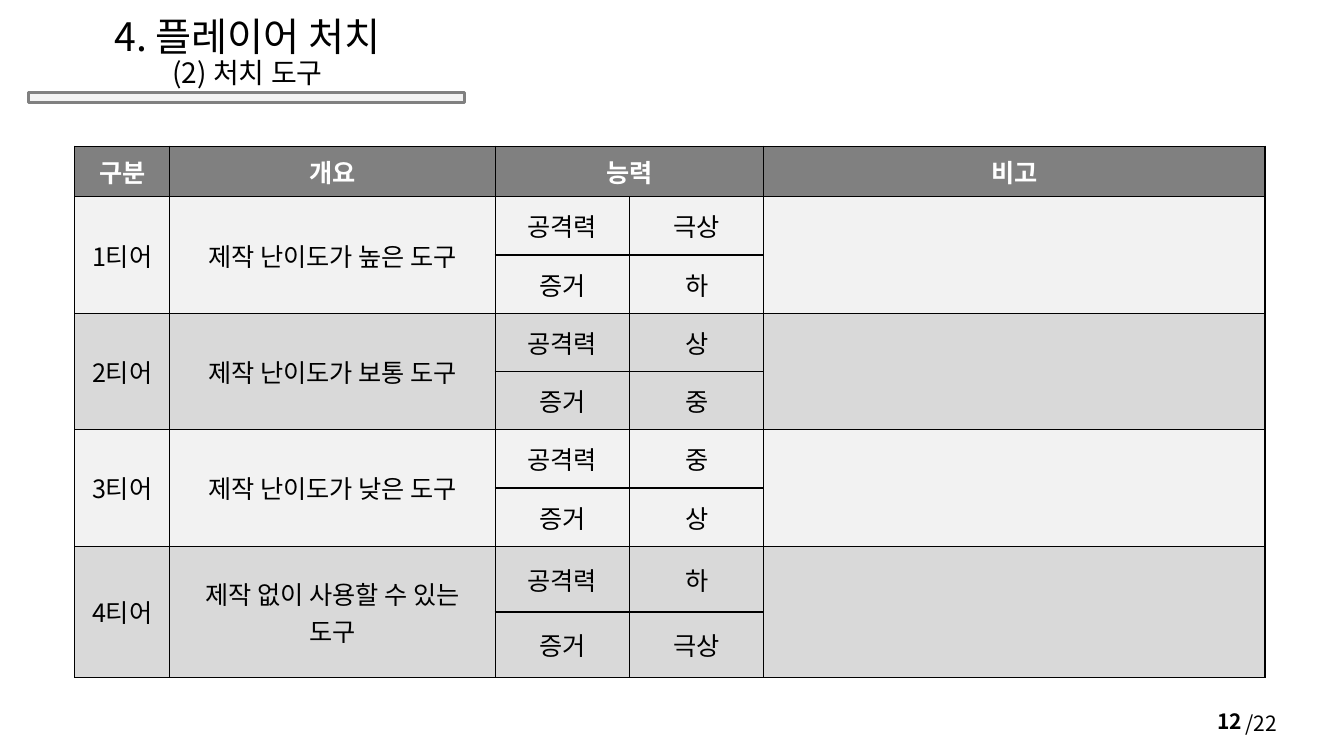
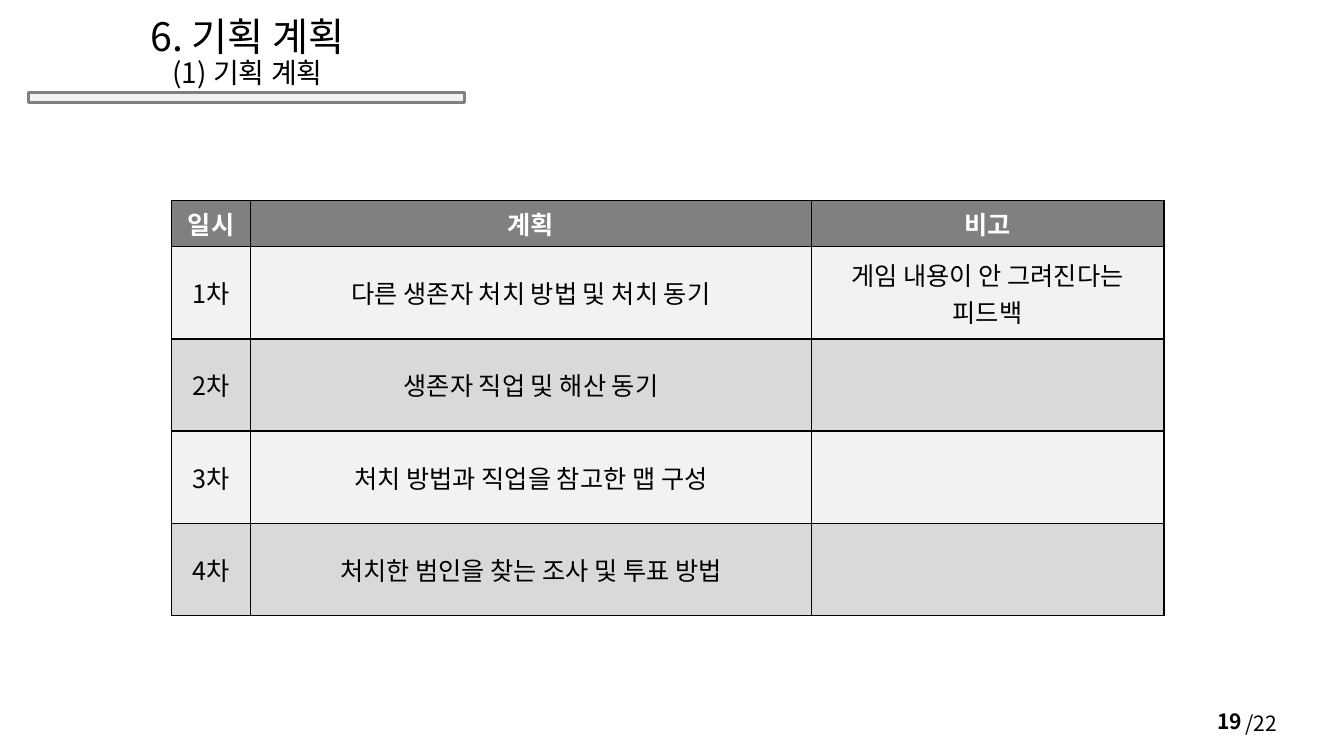
from lxml import etree
from pptx import Presentation
from pptx.dml.color import RGBColor
from pptx.enum.shapes import MSO_SHAPE
from pptx.enum.text import MSO_ANCHOR, PP_ALIGN
from pptx.oxml.ns import qn
from pptx.util import Pt

RECT = MSO_SHAPE.RECTANGLE
TOP, MIDDLE, BOTTOM = MSO_ANCHOR.TOP, MSO_ANCHOR.MIDDLE, MSO_ANCHOR.BOTTOM
LEFT, CENTER, RIGHT = PP_ALIGN.LEFT, PP_ALIGN.CENTER, PP_ALIGN.RIGHT

BLACK = RGBColor(0x00, 0x00, 0x00)
WHITE = RGBColor(0xFF, 0xFF, 0xFF)
GRAY = RGBColor(0x80, 0x80, 0x80)
LIGHT = RGBColor(0xF2, 0xF2, 0xF2)
MID = RGBColor(0xD9, 0xD9, 0xD9)
BANDS = (LIGHT, MID)

FONT = "Noto Sans CJK KR"
TITLE = dict(size=Pt(28), color=BLACK)
SUBTITLE = dict(size=Pt(20), color=BLACK)
PAGE = dict(size=Pt(15), color=BLACK, bold=True)
TOTAL = dict(size=Pt(15), color=BLACK)
HEAD = dict(size=Pt(18), color=WHITE, bold=True)
BODY = dict(size=Pt(18), color=BLACK, bold=False)

# Boxes: left, top, width, height in points
TITLE_BOX = (27.4, 20.9, 298.8, 46.8)
BAR_BOX = (20.2, 66.2, 311.8, 7.2)
PAGE_BOX = (678.2, 500.4, 216, 28.8)
TOTAL_BOX = (882.7, 504, 53.3, 25.2)


def pts(values):
    return [Pt(v) for v in values]


def add_run(p, text, style):
    r = p.add_run()
    r.text = text
    r.font.name = FONT
    etree.SubElement(r.font._element, qn("a:ea"), typeface=FONT)
    for key, value in style.items():
        if key == "color":
            r.font.color.rgb = value
        else:
            setattr(r.font, key, value)


def add_text(slide, box, lines, anchor, align, spacing=None):
    """Text box with one paragraph; lines are (text, style) pairs."""
    tf = slide.shapes.add_textbox(*pts(box)).text_frame
    tf.word_wrap = True
    tf.vertical_anchor = anchor
    p = tf.paragraphs[0]
    p.alignment = align
    p.line_spacing = spacing
    for i, (text, style) in enumerate(lines):
        if i:
            p.add_line_break()
        add_run(p, text, style)


def add_frame(prs, title, subtitle, page):
    """New slide with the shared title, bar and page number."""
    slide = prs.slides.add_slide(prs.slide_layouts[6])
    add_text(slide, TOTAL_BOX, [("/22", TOTAL)], TOP, LEFT)
    bar = slide.shapes.add_shape(RECT, *pts(BAR_BOX))
    bar.shadow.inherit = False
    bar.fill.solid()
    bar.fill.fore_color.rgb = LIGHT
    bar.line.color.rgb = GRAY
    bar.line.width = Pt(2.25)
    add_text(slide, TITLE_BOX, [(title, TITLE), (subtitle, SUBTITLE)],
             BOTTOM, CENTER, 0.9)
    add_text(slide, PAGE_BOX, [(str(page), PAGE)], MIDDLE, RIGHT)
    return slide


def format_cell(cell, text, style, fill):
    tc_pr = cell._tc.get_or_add_tcPr()
    for side in ("a:lnL", "a:lnR", "a:lnT", "a:lnB"):
        ln = etree.SubElement(tc_pr, qn(side), w=str(Pt(1)))
        solid = etree.SubElement(ln, qn("a:solidFill"))
        etree.SubElement(solid, qn("a:srgbClr"), val=str(BLACK))
    cell.fill.solid()
    cell.fill.fore_color.rgb = fill
    cell.vertical_anchor = MIDDLE
    p = cell.text_frame.paragraphs[0]
    p.alignment = CENTER
    if text:
        add_run(p, text, style)
    else:
        p.font.size = style["size"]


def add_grid(slide, origin, widths, heights, rows, band=1, merges=()):
    """Table with a dark header and a fill that alternates every band rows."""
    box = (*origin, sum(widths), sum(heights))
    table = slide.shapes.add_table(len(rows), len(widths), *pts(box)).table
    for col, width in zip(table.columns, widths):
        col.width = Pt(width)
    for row, height in zip(table.rows, heights):
        row.height = Pt(height)
    for i, row in enumerate(rows):
        style = BODY if i else HEAD
        fill = BANDS[(i - 1) // band % 2] if i else GRAY
        for j, text in enumerate(row):
            format_cell(table.cell(i, j), text, style, fill)
    for r1, c1, r2, c2 in merges:
        table.cell(r1, c1).merge(table.cell(r2, c2))


def tools_slide(prs):
    slide = add_frame(prs, "4. 플레이어 처치", "(2) 처치 도구", 12)
    tiers = [
        ("제작 난이도가 높은 도구", "극상", "하"),
        ("제작 난이도가 보통 도구", "상", "중"),
        ("제작 난이도가 낮은 도구", "중", "상"),
        ("제작 없이 사용할 수 있는 도구", "하", "극상"),
    ]
    rows = [("구분", "개요", "능력", "", "비고")]
    merges = [(0, 2, 0, 3)]
    for n, (summary, attack, evidence) in enumerate(tiers, 1):
        first = len(rows)
        rows.append((f"{n}티어", summary, "공격력", attack, ""))
        rows.append(("", "", "증거", evidence, ""))
        merges += [(first, c, first + 1, c) for c in (0, 1, 4)]
    add_grid(slide, (53.3, 104.4), (68, 232.4, 96, 96, 358),
             [36.2] + [41.6] * 6 + [47] * 2, rows, 2, merges)


def plan_slide(prs):
    slide = add_frame(prs, "6. 기획 계획", "(1) 기획 계획", 19)
    rows = [
        ("일시", "계획", "비고"),
        ("1차", "다른 생존자 처치 방법 및 처치 동기", "게임 내용이 안 그려진다는 피드백"),
        ("2차", "생존자 직업 및 해산 동기", ""),
        ("3차", "처치 방법과 직업을 참고한 맵 구성", ""),
        ("4차", "처치한 범인을 찾는 조사 및 투표 방법", ""),
    ]
    add_grid(slide, (122.4, 143.3), (56.8, 400.2, 252),
             [33] + [65.8] * 4, rows)


def main():
    prs = Presentation()
    prs.slide_width, prs.slide_height = Pt(960), Pt(540)
    tools_slide(prs)
    plan_slide(prs)
    prs.save("out.pptx")


if __name__ == "__main__":
    main()
